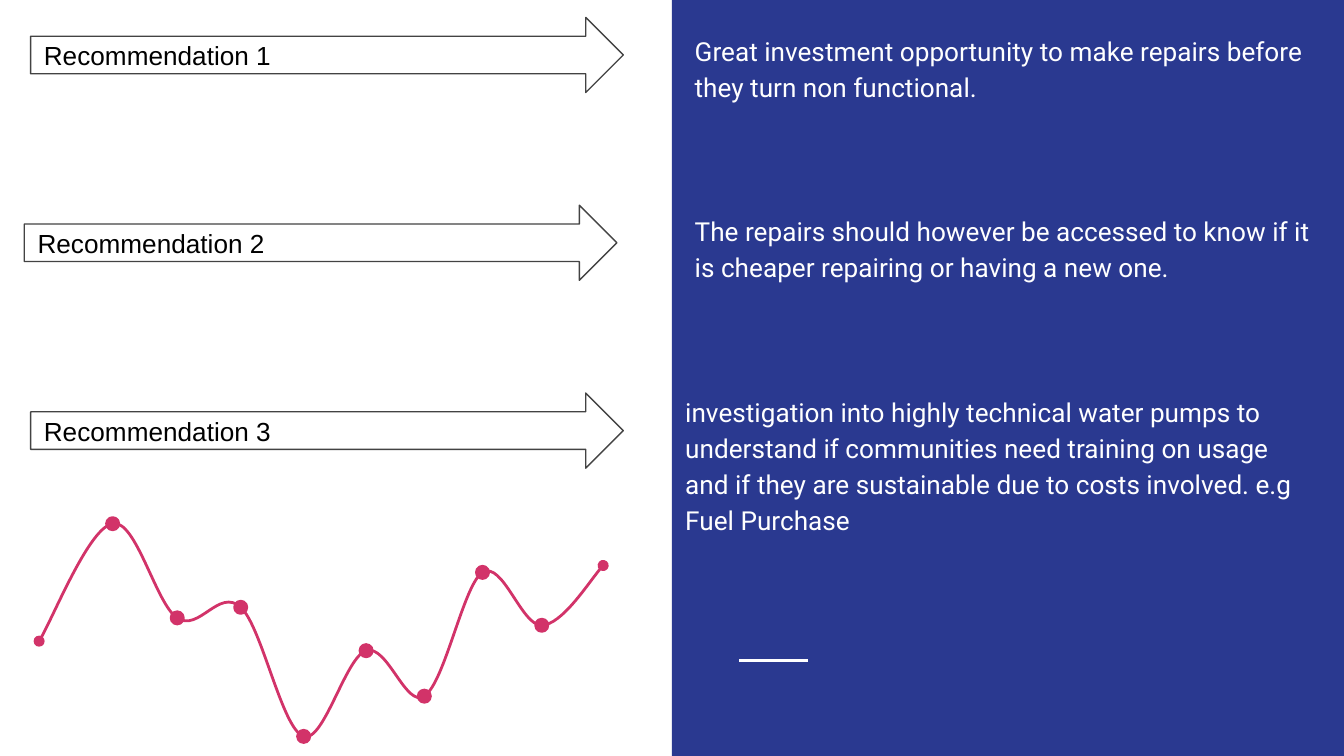
import lxml.etree
import pptx
import pptx.dml.color
import pptx.enum.shapes
import pptx.enum.text
import pptx.oxml.ns
import pptx.util

Cm = pptx.util.Cm
Pt = pptx.util.Pt
qn = pptx.oxml.ns.qn
SHAPES = pptx.enum.shapes.MSO_SHAPE
ANCHORS = pptx.enum.text.MSO_ANCHOR

BLUE = "2A3990"
PINK = "D23369"
WHITE = "FFFFFF"
GREY = "434343"
BLACK = "000000"

ADVICE = [
    (0.58, 12.88, 0.33, 1.8, 7,
     "Great investment opportunity to make repairs before they turn non functional."),
    (0.46, 12.88, 3.73, 1.8, 7,
     "The repairs should however be accessed to know if it is cheaper repairing or having a new one."),
    (0.58, 12.7, 7.16, 3.18, 0,
     "investigation into highly technical water pumps to understand if communities need training "
     "on usage and if they are sustainable due to costs involved. e.g Fuel Purchase"),
]

CURVE_START = (0.74, 12.12)
CURVE_SEGMENTS = [
    [(0.97, 11.76), (1.7, 9.96), (2.13, 9.9)],
    [(2.57, 9.8), (2.95, 11.43), (3.35, 11.68)],
    [(3.76, 11.96), (4.14, 11.1), (4.55, 11.48)],
    [(4.95, 11.84), (5.33, 13.79), (5.74, 13.92)],
    [(6.12, 14.05), (6.53, 12.42), (6.92, 12.3)],
    [(7.32, 12.17), (7.67, 13.39), (8.02, 13.16)],
    [(8.41, 12.9), (8.76, 11.05), (9.12, 10.82)],
    [(9.5, 10.59), (9.86, 11.84), (10.24, 11.82)],
    [(10.62, 11.81), (11.2, 10.9), (11.4, 10.69)],
]


def color(value):
    return pptx.dml.color.RGBColor.from_string(value)


class SlideBuilder:
    label_font = "Arial"
    body_font = "Roboto"
    text_size = Pt(14)
    inset = Cm(0.25)
    dot_size = 0.23

    def __init__(self, slide):
        self.slide = slide

    def outline(self, line, line_color, width):
        line.color.rgb = color(line_color)
        line.width = Pt(width)

    def shape(self, kind, left, top, width, height, fill, line=None, line_width=1.5, parent=None):
        shapes = (parent or self.slide).shapes
        shape = shapes.add_shape(kind, Cm(left), Cm(top), Cm(width), Cm(height))
        shape.shadow.inherit = False
        shape.fill.solid()
        shape.fill.fore_color.rgb = color(fill)
        if line:
            self.outline(shape.line, line, line_width)
        else:
            shape.line.fill.background()
        return shape

    def add_text(self, frame, text, font, text_color):
        frame.word_wrap = True
        frame.margin_left = frame.margin_right = self.inset
        frame.margin_top = frame.margin_bottom = self.inset
        paragraph = frame.paragraphs[0]
        paragraph.alignment = pptx.enum.text.PP_ALIGN.LEFT
        run = paragraph.add_run()
        run.text = text
        run.font.name = font
        run.font.size = self.text_size
        run.font.color.rgb = color(text_color)
        return paragraph

    def arrow(self, left, top, text):
        shape = self.shape(SHAPES.RIGHT_ARROW, left, top, 11.2, 1.42, WHITE, GREY, 0.75)
        shape.text_frame.vertical_anchor = ANCHORS.MIDDLE
        self.add_text(shape.text_frame, text, self.label_font, BLACK)

    def body_text(self, left, top, height, text, space_after):
        box = self.slide.shapes.add_textbox(Cm(left), Cm(top), Cm(12.37), Cm(height))
        box.text_frame.vertical_anchor = ANCHORS.TOP
        paragraph = self.add_text(box.text_frame, text, self.body_font, WHITE)
        paragraph.line_spacing = 1.15
        paragraph.space_after = Pt(space_after)
        box.text_frame.auto_size = pptx.enum.text.MSO_AUTO_SIZE.SHAPE_TO_FIT_TEXT

    def rule(self, left, right, top):
        connector = self.slide.shapes.add_connector(
            pptx.enum.shapes.MSO_CONNECTOR.STRAIGHT, Cm(left), Cm(top), Cm(right), Cm(top))
        self.outline(connector.line, WHITE, 1.5)
        lxml.etree.SubElement(connector._element.spPr, qn("a:effectLst"))

    def curve(self, start, segments, parent):
        builder = parent.shapes.build_freeform(Cm(start[0]), Cm(start[1]))
        points = [(Cm(x), Cm(y)) for segment in segments for x, y in segment]
        builder.add_line_segments(points, close=False)
        shape = builder.convert_to_shape()
        shape.shadow.inherit = False
        shape.fill.background()
        self.outline(shape.line, PINK, 1.5)
        for end in ("a:headEnd", "a:tailEnd"):
            lxml.etree.SubElement(shape.line._ln, qn(end), type="oval")
        outline = shape._element.xpath(".//a:path")[0]
        straight = outline.findall(qn("a:lnTo"))
        for first in range(0, len(straight), 3):
            bezier = lxml.etree.SubElement(outline, qn("a:cubicBezTo"))
            for step in straight[first:first + 3]:
                bezier.append(step[0])
                outline.remove(step)

    def dotted_curve(self, start, segments):
        group = self.slide.shapes.add_group_shape()
        self.curve(start, segments, group)
        size = self.dot_size
        for segment in segments[:-1]:
            x, y = segment[-1]
            self.shape(SHAPES.OVAL, x - size / 2, y - size / 2, size, size, PINK, PINK, parent=group)


def main():
    presentation = pptx.Presentation()
    presentation.slide_width = Cm(25.4)
    presentation.slide_height = Cm(14.29)
    builder = SlideBuilder(presentation.slides.add_slide(presentation.slide_layouts[6]))

    builder.shape(SHAPES.RECTANGLE, 12.7, 0, 12.7, 14.29, BLUE)
    builder.rule(13.97, 15.27, 12.48)
    builder.dotted_curve(CURVE_START, CURVE_SEGMENTS)
    for index, (arrow_left, left, top, height, space_after, text) in enumerate(ADVICE):
        builder.arrow(arrow_left, 0.33 + 3.55 * index, f"Recommendation {index + 1}")
        builder.body_text(left, top, height, text, space_after)

    presentation.save("out.pptx")


if __name__ == "__main__":
    main()
